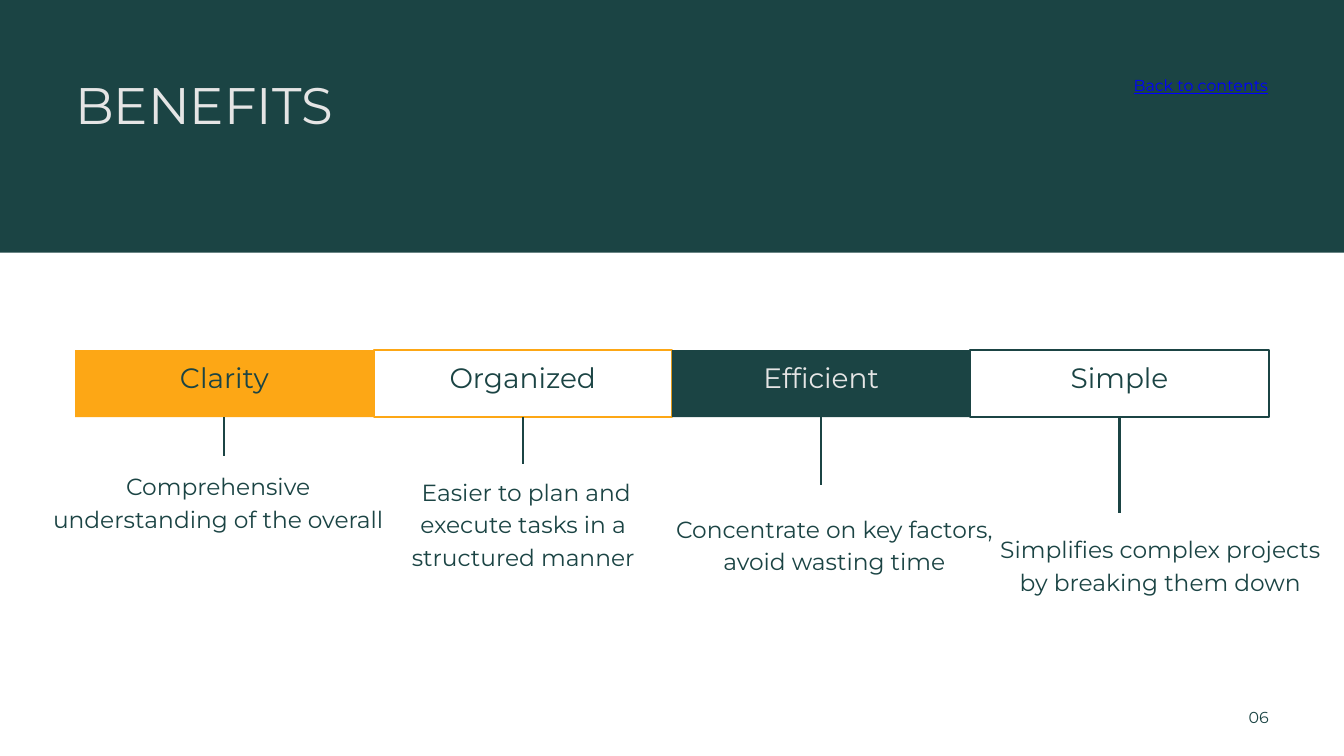
from lxml import etree
from pptx import Presentation
from pptx.dml.color import RGBColor
from pptx.enum.shapes import MSO_CONNECTOR as Link, MSO_SHAPE as Shape
from pptx.enum.text import MSO_ANCHOR as Anchor, PP_ALIGN as Align
from pptx.oxml.ns import qn
from pptx.util import Inches, Pt

HUE = {"green": "1B4444", "amber": "FDA715", "white": "FFFFFF",
       "pale": "E5E5E5", "blue": "0000FF"}

STEPS = [
    {"name": "Clarity", "fill": "amber", "edge": None, "ink": "green", "end": 6.78,
     "note": "Comprehensive understanding of the overall", "box": (0.76, 6.96, 4.97, 0.94)},
    {"name": "Organized", "fill": "white", "edge": "amber", "ink": "green", "end": 6.91,
     "note": " Easier to plan and execute tasks in a structured manner",
     "box": (5.96, 7.04, 3.65, 1.42)},
    {"name": "Efficient", "fill": "green", "edge": None, "ink": "pale", "end": 7.22,
     "note": "Concentrate on key factors, avoid wasting time", "box": (10, 7.59, 4.83, 0.94)},
    {"name": "Simple", "fill": None, "edge": "green", "ink": "green", "end": 7.64,
     "note": "Simplifies complex projects by breaking them down",
     "box": (14.83, 7.9, 4.87, 0.94)},
]
LEFT, TOP, WIDE, HIGH = 1.12, 5.21, 4.44, 1
RISE = 0.28

deck = Presentation()
deck.slide_width, deck.slide_height = Inches(20), Inches(11.25)
slide = deck.slides.add_slide(deck.slide_layouts[6])


def color(name):
    return RGBColor.from_string(HUE[name])


def block(box, fill, edge=None):
    item = slide.shapes.add_shape(Shape.RECTANGLE, *map(Inches, box))
    item.shadow.inherit = False
    if fill:
        item.fill.solid()
        item.fill.fore_color.rgb = color(fill)
    else:
        item.fill.background()
    if edge:
        item.line.color.rgb = color(edge)
        item.line.width = Pt(2.25)
    else:
        item.line.fill.background()


def label(words, box, size, lead, ink="green", align=Align.CENTER,
          anchor=Anchor.TOP, pad=0, under=None):
    frame = slide.shapes.add_textbox(*map(Inches, box)).text_frame
    frame.word_wrap = True
    frame.vertical_anchor = anchor
    frame.margin_left = frame.margin_right = Inches(pad)
    frame.margin_top = frame.margin_bottom = Inches(pad)
    frame.text = words
    para = frame.paragraphs[0]
    para.alignment = align
    para.line_spacing = Pt(lead)
    font = para.runs[0].font
    font.name, font.size, font.underline = "Montserrat", Pt(size), under
    font.color.rgb = color(ink)


def stem(x, top, end):
    line = slide.shapes.add_connector(
        Link.STRAIGHT, Inches(x), Inches(top), Inches(x), Inches(end))
    line.line.color.rgb = color("green")
    line.line.width = Pt(2.25)
    etree.SubElement(line._element.spPr, qn("a:effectLst"))


block((0, 0, 20, 3.76), "green")
label("BENEFITS", (1.12, 1.16, 11.99, 0.87), 55, 60.5, "pale", Align.LEFT)
label("Back to contents", (15.72, 1.1, 3.15, 0.28), 17, 22.1, "blue",
      Align.RIGHT, under=True)

for i, step in enumerate(STEPS):
    x = LEFT + i * WIDE
    block((x, TOP, WIDE, HIGH), step["fill"], step["edge"])
    label(step["name"], (x, TOP - RISE, WIDE, HIGH + RISE), 30, 42, step["ink"],
          anchor=Anchor.MIDDLE, pad=0.06)
    stem(x + WIDE / 2, TOP + HIGH, step["end"])
    label(step["note"], step["box"], 25, 35)

label("06", (18.28, 10.51, 0.6, 0.3), 17, 22.1, align=Align.RIGHT)

deck.save("out.pptx")
